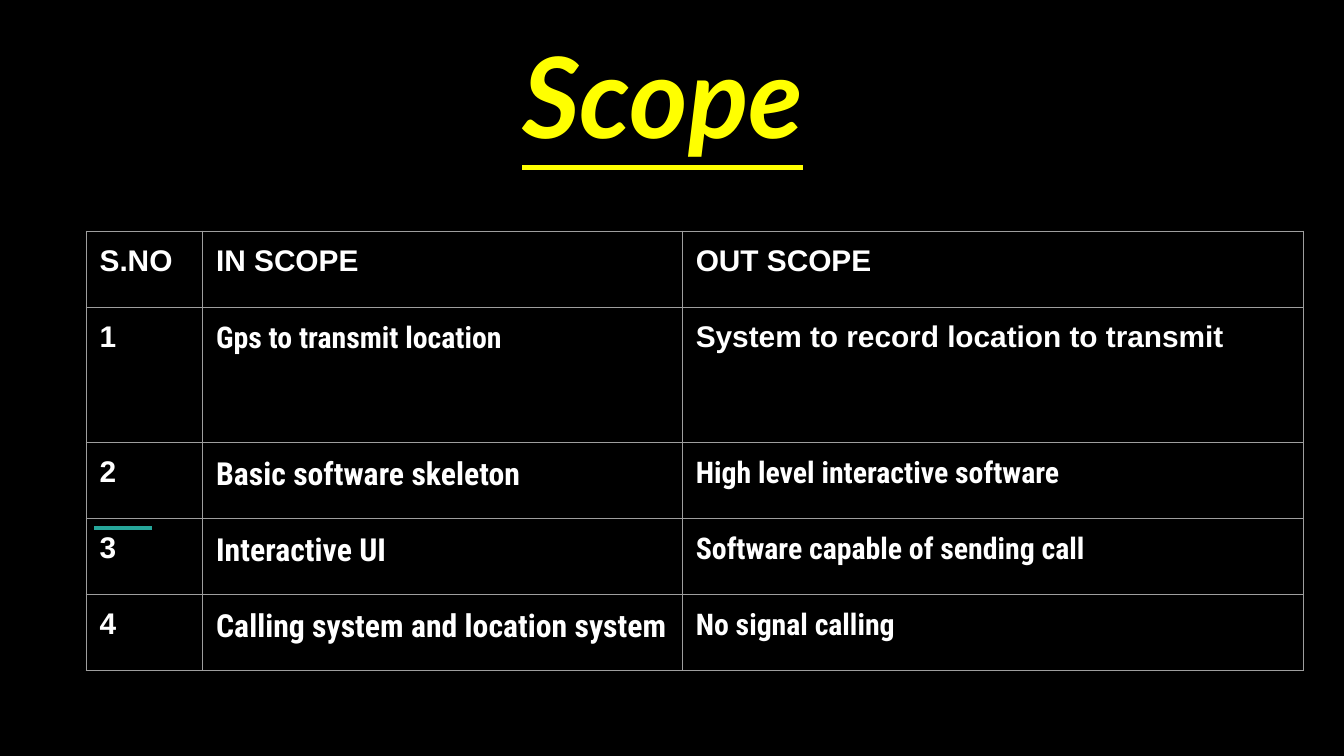
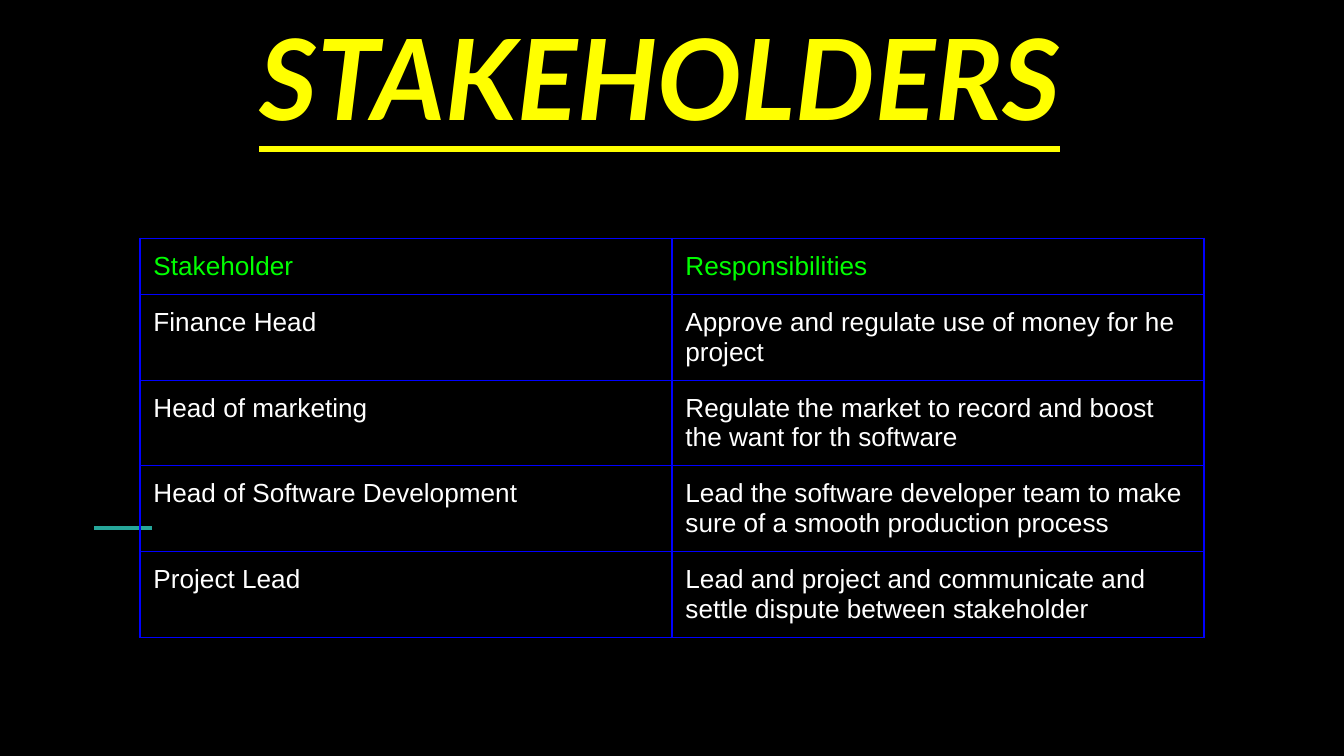
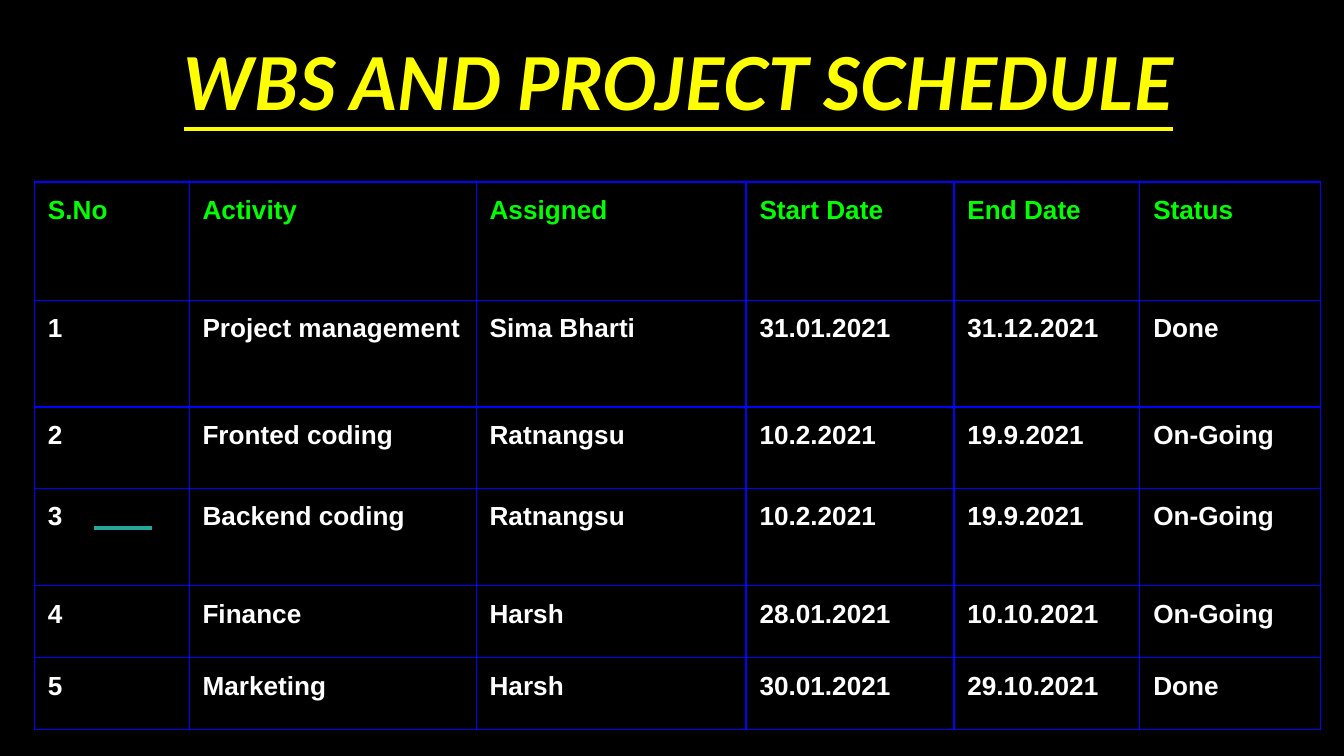
from lxml.etree import SubElement
from pptx import Presentation
from pptx.dml.color import RGBColor
from pptx.enum.shapes import MSO_CONNECTOR
from pptx.enum.text import MSO_ANCHOR, MSO_AUTO_SIZE, PP_ALIGN
from pptx.oxml.ns import qn
from pptx.util import Pt

COLORS = {
    "background": "000000",
    "accent": "26A69A",
    "title": "FFFF00",
    "text": "FFFFFF",
    "header": "00FF00",
    "gray_border": "9E9E9E",
    "blue_border": "0000FF",
}
TITLE_FONT, TABLE_FONT, CONDENSED_FONT = "Lato", "Arial", "Roboto Condensed"
INSET = Pt(7.2)
BORDER_WIDTH = Pt(0.75)


def color(name):
    return RGBColor.from_string(COLORS[name])


def add_run(paragraph, text, font_name, size, color_name, bold=False):
    run = paragraph.add_run()
    run.text = text
    run.font.name = font_name
    run.font.size = Pt(size)
    run.font.bold = bold
    run.font.color.rgb = color(color_name)
    return run


def set_insets(target):
    target.margin_left = target.margin_right = INSET
    target.margin_top = target.margin_bottom = INSET


def add_accent_line(slide):
    line = slide.shapes.add_connector(
        MSO_CONNECTOR.STRAIGHT, Pt(50.4), Pt(283), Pt(81.4), Pt(283))
    line.line.color.rgb = color("accent")
    line.line.width = Pt(2.25)
    SubElement(line.element.spPr, qn("a:effectLst"))


def add_title(slide, text, left, top, height, size):
    title = slide.shapes.title
    title.left, title.top = Pt(left), Pt(top)
    title.width, title.height = Pt(639.4), Pt(height)
    frame = title.text_frame
    frame.word_wrap = True
    frame.auto_size = MSO_AUTO_SIZE.NONE
    frame.vertical_anchor = MSO_ANCHOR.BOTTOM
    set_insets(frame)
    paragraph = frame.paragraphs[0]
    paragraph.alignment = PP_ALIGN.CENTER
    run = add_run(paragraph, text, TITLE_FONT, size, "title", bold=True)
    run.font.italic = True
    run.font.underline = True


def add_titled_slide(presentation, text, left, top, height, size):
    slide = presentation.slides.add_slide(presentation.slide_layouts[5])
    add_title(slide, text, left, top, height, size)
    add_accent_line(slide)
    return slide


def set_borders(cell, color_name):
    properties = cell._tc.get_or_add_tcPr()
    for side in ("lnL", "lnR", "lnT", "lnB"):
        border = SubElement(properties, qn(f"a:{side}"), w=str(BORDER_WIDTH))
        fill = SubElement(border, qn("a:solidFill"))
        SubElement(fill, qn("a:srgbClr"), val=COLORS[color_name])


def add_table(slide, left, top, widths, heights, rows, border, header, size, bold):
    """Each cell is a text, or a (text, font, size) tuple for its own type."""
    table = slide.shapes.add_table(
        len(rows), len(widths), Pt(left), Pt(top),
        Pt(sum(widths)), Pt(sum(heights))).table
    table.first_row = table.horz_banding = False
    for column, width in zip(table.columns, widths):
        column.width = Pt(width)
    for row_index, (row, height) in enumerate(zip(rows, heights)):
        table.rows[row_index].height = Pt(height)
        color_name = header if row_index == 0 else "text"
        for column_index, content in enumerate(row):
            if isinstance(content, str):
                content = (content, TABLE_FONT, size)
            cell = table.cell(row_index, column_index)
            set_insets(cell)
            set_borders(cell, border)
            cell.fill.background()
            add_run(cell.text_frame.paragraphs[0], *content, color_name, bold)


def condensed(text, size=16):
    return text, CONDENSED_FONT, size


def add_scope_slide(presentation):
    slide = add_titled_slide(presentation, "Scope", 35.3, 10.8, 82.8, 60)
    rows = [
        ("S.NO", "IN SCOPE", "OUT SCOPE"),
        ("1", condensed("Gps to transmit location"),
         "System to record location to transmit"),
        ("2", condensed("Basic software skeleton", 17),
         condensed("High level interactive software")),
        ("3", condensed("Interactive UI", 17),
         condensed("Software capable of sending call")),
        ("4", condensed("Calling system and location system", 17),
         condensed("No signal calling")),
    ]
    add_table(slide, 46.2, 123.9, [62.4, 257, 332.8], [40.8, 72.2] + [40.8] * 3,
              rows, "gray_border", "text", size=16, bold=True)


def add_stakeholders_slide(presentation):
    slide = add_titled_slide(presentation, "STAKEHOLDERS", 33.8, 18, 65.5, 60)
    rows = [
        ("Stakeholder", "Responsibilities"),
        ("Finance Head", "Approve and regulate use of money for he project"),
        ("Head of marketing",
         "Regulate the market to record and boost the want for th software"),
        ("Head of Software Development",
         "Lead the software developer team to make sure of a smooth production process"),
        ("Project Lead",
         "Lead and project and communicate and settle dispute between stakeholder"),
    ]
    add_table(slide, 75, 127.6, [285] * 2, [30] * len(rows),
              rows, "blue_border", "header", size=14, bold=False)


def add_schedule_slide(presentation):
    slide = add_titled_slide(presentation, "WBS AND PROJECT SCHEDULE", 43.9, 5, 69.1, 39)
    rows = [
        ("S.No", "Activity", "Assigned", "Start Date", "End Date", "Status"),
        ("1", "Project management", "Sima Bharti", "31.01.2021", "31.12.2021", "Done"),
        ("2", "Fronted coding", "Ratnangsu", "10.2.2021", "19.9.2021", "On-Going"),
        ("3", "Backend coding", "Ratnangsu", "10.2.2021", "19.9.2021", "On-Going"),
        ("4", "Finance", "Harsh", "28.01.2021", "10.10.2021", "On-Going"),
        ("5", "Marketing", "Harsh", "30.01.2021", "29.10.2021", "Done"),
    ]
    add_table(slide, 18.5, 97.5, [82.8, 153.8, 144.6, 111.4, 99.6, 97],
              [63.3, 57.3, 43.7, 52.1, 38.6, 38.6],
              rows, "blue_border", "header", size=14, bold=True)


def main():
    presentation = Presentation()
    presentation.slide_width, presentation.slide_height = Pt(720), Pt(405)
    background = presentation.slide_master.background.fill
    background.solid()
    background.fore_color.rgb = color("background")
    add_scope_slide(presentation)
    add_stakeholders_slide(presentation)
    add_schedule_slide(presentation)
    presentation.save("out.pptx")


if __name__ == "__main__":
    main()
